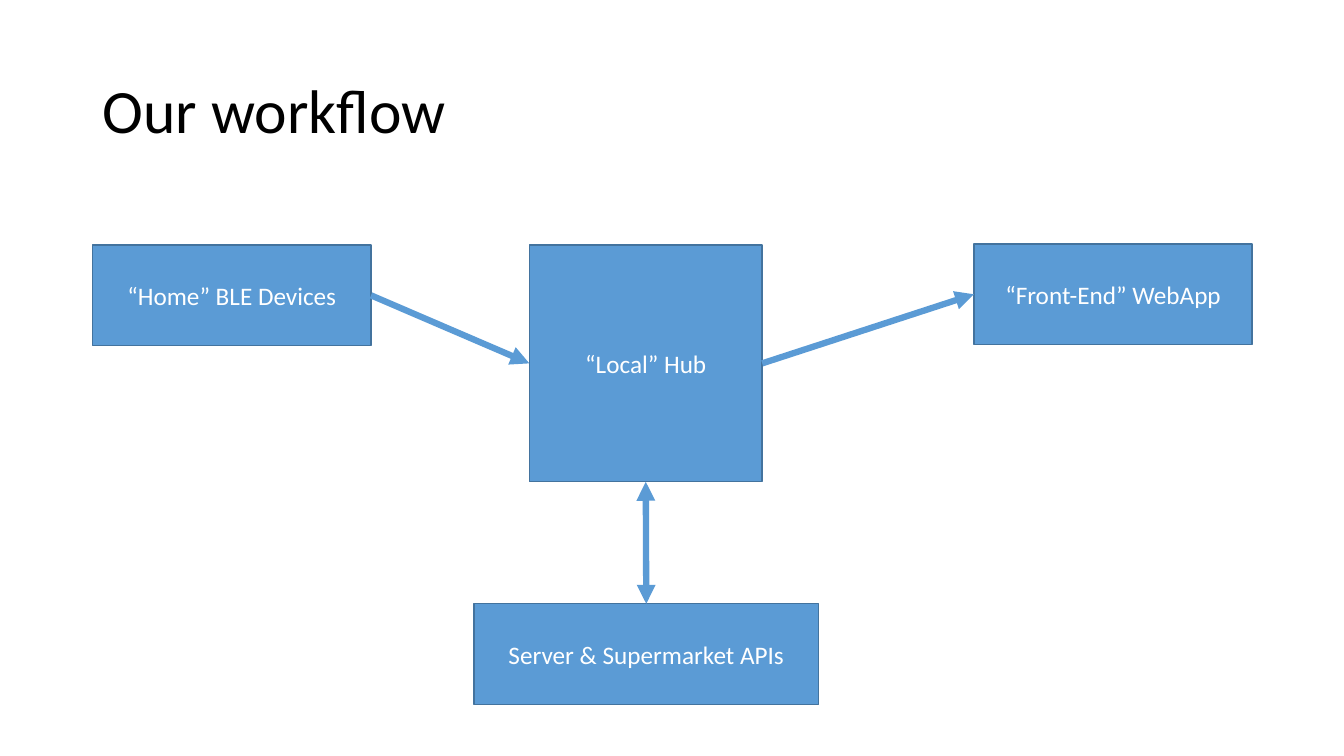
from lxml import etree
from pptx import Presentation
from pptx.dml.color import RGBColor
from pptx.enum import shapes, text
from pptx.oxml import ns
from pptx.util import Inches, Pt


def color(value):
    return RGBColor.from_string(value)


def write(box, words, size, ink, align):
    frame = box.text_frame
    frame.word_wrap = True
    frame.vertical_anchor = text.MSO_ANCHOR.MIDDLE
    frame.text = words
    para = frame.paragraphs[0]
    para.alignment = align
    span = para.runs[0]
    span.font.name = "Calibri"
    span.font.size = Pt(size)
    span.font.color.rgb = color(ink)
    return para


deck = Presentation()
deck.slide_width = Inches(13.33)
deck.slide_height = Inches(7.5)
page = deck.slides.add_slide(deck.slide_layouts[6])

# Title
title = page.shapes.add_textbox(Inches(0.92), Inches(0.4), Inches(11.5), Inches(1.45))
write(title, "Our workflow", 44, "000000", text.PP_ALIGN.LEFT).line_spacing = 0.9

# Workflow stages: name, wording, left, top, width, height
stages = [
    ("devices", "“Home” BLE Devices", 0.92, 2.43, 2.76, 1),
    ("hub", "“Local” Hub", 5.25, 2.43, 2.31, 2.35),
    ("server", "Server & Supermarket APIs", 4.7, 5.99, 3.42, 1),
    ("webapp", "“Front-End” WebApp", 9.66, 2.42, 2.76, 1),
]
boxes = {}
for name, words, left, top, width, height in stages:
    box = page.shapes.add_shape(
        shapes.MSO_SHAPE.RECTANGLE,
        Inches(left), Inches(top), Inches(width), Inches(height))
    box.shadow.inherit = False
    box.fill.solid()
    box.fill.fore_color.rgb = color("5B9BD5")
    box.line.color.rgb = color("43739E")
    box.line.width = Pt(1)
    write(box, words, 18, "FFFFFF", text.PP_ALIGN.CENTER)
    boxes[name] = box

# Arrows: start box and side, end box and side, arrowheads
TOP, LEFT, BOTTOM, RIGHT = range(4)
arrows = [
    ("devices", RIGHT, "hub", LEFT, ["tailEnd"]),
    ("hub", BOTTOM, "server", TOP, ["headEnd", "tailEnd"]),
    ("hub", RIGHT, "webapp", LEFT, ["tailEnd"]),
]
for start, start_side, end, end_side, heads in arrows:
    arrow = page.shapes.add_connector(shapes.MSO_CONNECTOR.STRAIGHT, 0, 0, 0, 0)
    arrow.begin_connect(boxes[start], start_side)
    arrow.end_connect(boxes[end], end_side)
    arrow.line.color.rgb = color("5B9BD5")
    arrow.line.width = Pt(4.5)
    outline = arrow.line._get_or_add_ln()
    for head in heads:
        etree.SubElement(outline, ns.qn("a:" + head), type="triangle")
    etree.SubElement(arrow._element.spPr, ns.qn("a:effectLst"))

deck.save("out.pptx")
